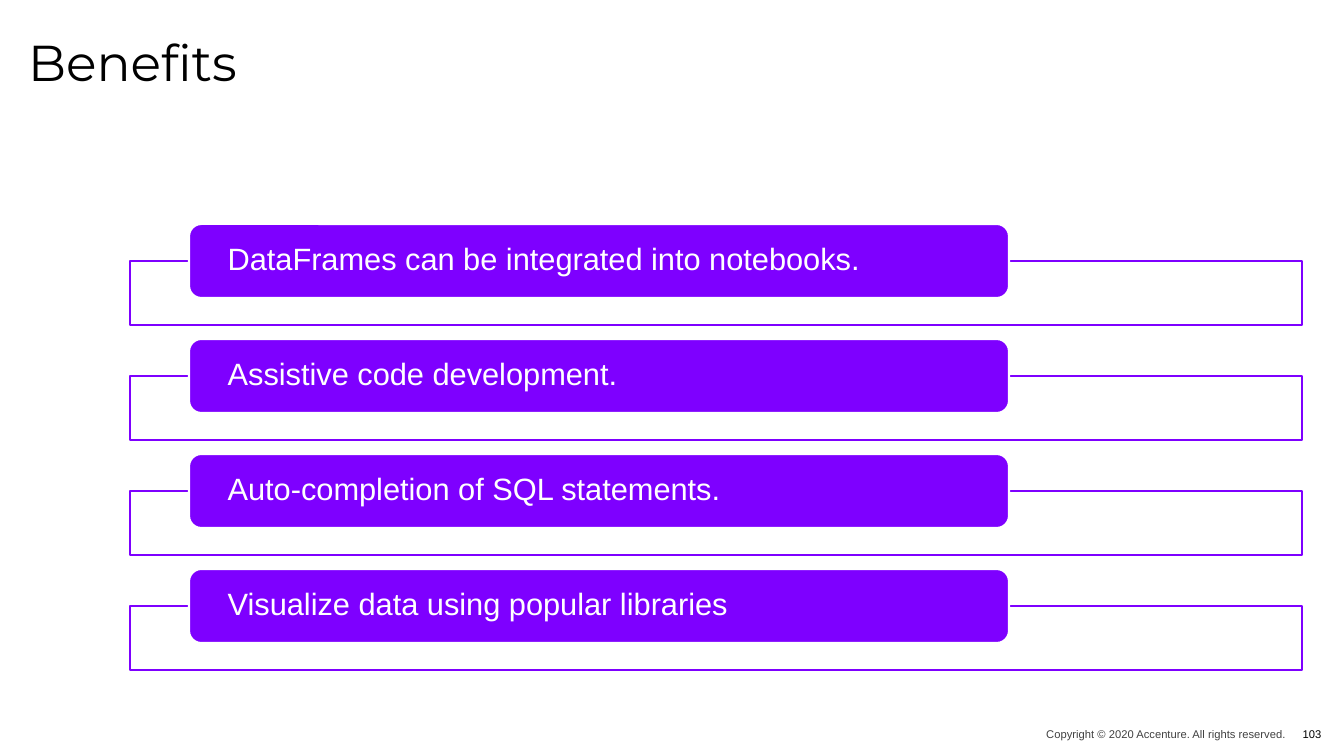
from dataclasses import dataclass

from lxml import etree
from pptx import Presentation
from pptx import util as u
from pptx.dml.color import RGBColor
from pptx.enum import shapes, text
from pptx.oxml.ns import qn

PX = 914400 / 100.8  # EMU in one px


@dataclass(frozen=True)
class Theme:
    purple: str = "7E00FF"
    white: str = "FFFFFF"
    black: str = "000000"
    head_font: str = "Montserrat"
    body_font: str = "Arial"
    title_size: int = 36
    benefit_size: int = 22
    footer_size: int = 8


T = Theme()
BENEFITS = [
    "DataFrames can be integrated into notebooks.",
    "Assistive code development.",
    "Auto-completion of SQL statements.",
    "Visualize data using popular libraries",
]
FIRST_TOP, ROW_STEP = 224, 115


def px(*lengths):
    return [u.Emu(round(n * PX)) for n in lengths]


def set_alpha(fill_parent, percent):
    """Make the first solid fill under an element partly transparent."""
    color = next(fill_parent.iter(qn("a:srgbClr")))
    etree.SubElement(color, qn("a:alpha")).set("val", str(percent * 1000))


def write(sp, words, font, size, color, frame=None, para=None):
    tf = sp.text_frame
    tf.word_wrap = True
    for name, value in (frame or {}).items():
        setattr(tf, name, value)
    p = tf.paragraphs[0]
    for name, value in (para or {}).items():
        setattr(p, name, value)
    r = p.add_run()
    r.text = words
    for name, value in {"name": font, "size": u.Pt(size), "bold": False}.items():
        setattr(r.font, name, value)
    r.font.color.rgb = RGBColor.from_string(color)
    return r


def add_title(s, words):
    sp = s.shapes.title
    sp.left, sp.top, sp.width, sp.height = px(18, 43, 609, 180)
    write(sp, words, T.head_font, T.title_size, T.black,
          {"vertical_anchor": text.MSO_ANCHOR.TOP,
           "auto_size": text.MSO_AUTO_SIZE.NONE},
          {"alignment": text.PP_ALIGN.LEFT, "line_spacing": 0.7})


def add_box(s, kind, box, fill, line, weight):
    sp = s.shapes.add_shape(kind, *px(*box))
    sp.shadow.inherit = False
    sp.fill.solid()
    sp.fill.fore_color.rgb = RGBColor.from_string(fill)
    sp.line.color.rgb = RGBColor.from_string(line)
    sp.line.width = u.Pt(weight)
    return sp


def add_benefit(s, top, words):
    kinds = shapes.MSO_SHAPE
    frame = add_box(s, kinds.RECTANGLE, (130, top + 37, 1172, 64),
                    T.white, T.purple, 1)
    set_alpha(frame.fill._xPr, 90)
    pill = add_box(s, kinds.ROUNDED_RECTANGLE, (189, top, 820, 74),
                   T.purple, T.white, 1.5)
    side, none = px(35, 0)
    write(pill, words, T.body_font, T.benefit_size, T.white,
          {"margin_left": side, "margin_right": side,
           "margin_top": none, "margin_bottom": none,
           "vertical_anchor": text.MSO_ANCHOR.MIDDLE},
          {"alignment": text.PP_ALIGN.LEFT, "line_spacing": 0.9})


def add_footer(s, box, words, align):
    sp = s.shapes.add_textbox(*px(*box))
    frame = {f"margin_{side}": 0 for side in ("left", "right", "top", "bottom")}
    frame["vertical_anchor"] = text.MSO_ANCHOR.MIDDLE
    return write(sp, words, T.body_font, T.footer_size, T.black,
                 frame, {"alignment": align})


def main():
    prs = Presentation()
    prs.slide_width, prs.slide_height = px(1344, 756)
    s = prs.slides.add_slide(prs.slide_layouts[5])

    # Title
    add_title(s, "Benefits")

    # Benefit rows
    for row, words in enumerate(BENEFITS):
        add_benefit(s, FIRST_TOP + row * ROW_STEP, words)

    # Copyright line and page number
    notice = add_footer(s, (943, 723, 343, 22),
                        "Copyright © 2020 Accenture. All rights reserved.",
                        text.PP_ALIGN.RIGHT)
    set_alpha(notice.font._element, 75)
    add_footer(s, (1291, 723, 42, 23), "103", text.PP_ALIGN.CENTER)

    prs.save("out.pptx")


if __name__ == "__main__":
    main()
